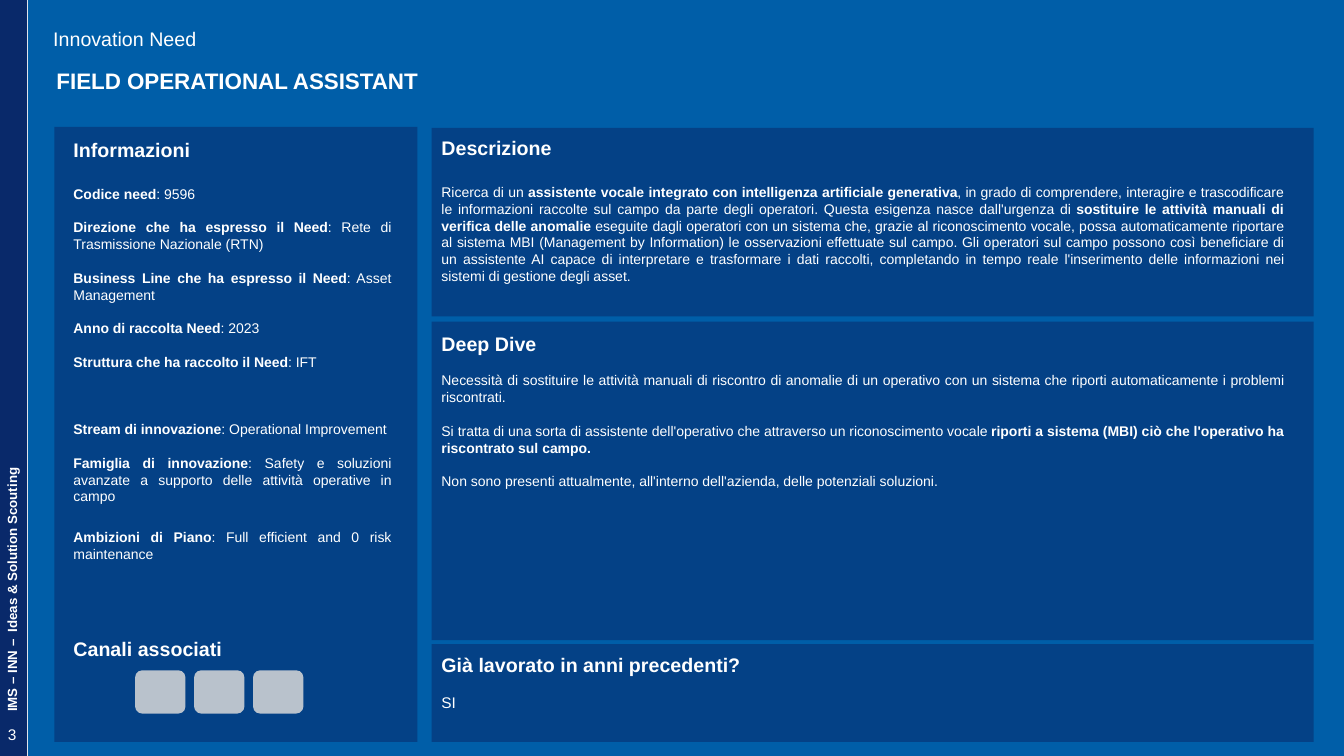
"""Build the innovation need slide for a field assistant."""
from dataclasses import dataclass

from lxml.etree import SubElement
from pptx import Presentation
from pptx.dml.color import RGBColor as Rgb
from pptx.enum.shapes import MSO_SHAPE as Kind
from pptx.enum.text import MSO_ANCHOR as Anchor, PP_ALIGN as Align
from pptx.oxml.ns import qn
from pptx.util import Inches, Pt

FONT = "Arial"
WHITE = "FFFFFF"
NAVY = "092869"
LINE = 12
TALL = 17

Box = tuple[float, float, float, float]


@dataclass
class Para:
    text: str
    size: float = 10
    gap: float = LINE
    align: Align = Align.JUSTIFY


@dataclass
class Panel:
    box: Box
    area: Box
    paras: list[Para]


PANELS = [
    Panel((0.54, 1.26, 3.6, 6.1), (0.63, 1.32, 3.35, 5.65), [
        Para("*Informazioni*", 14, 0),
        Para("*Codice need*: 9596", gap=TALL),
        Para("*Direzione che ha espresso il Need*: Rete di Trasmissione Nazionale (RTN)"),
        Para("*Business Line che ha espresso il Need*: Asset Management"),
        Para("*Anno di raccolta Need*: 2023"),
        Para("*Struttura che ha raccolto il Need*: IFT"),
        Para("*Stream di innovazione*: Operational Improvement", gap=3 * LINE),
        Para("*Famiglia di innovazione*: Safety e soluzioni avanzate a supporto delle "
             "attività operative in campo"),
        Para("*Ambizioni di Piano*: Full efficient and 0 risk maintenance", gap=TALL),
        Para("*Canali associati*", 14, 3 * LINE + TALL, Align.LEFT),
    ]),
    Panel((4.28, 1.27, 8.75, 1.87), (4.28, 1.3, 8.55, 1.58), [
        Para("*Descrizione*", 14, 0),
        Para("Ricerca di un *assistente vocale integrato con intelligenza artificiale "
             "generativa*, in grado di comprendere, interagire e trascodificare le "
             "informazioni raccolte sul campo da parte degli operatori. Questa esigenza "
             "nasce dall'urgenza di *sostituire le attività manuali di verifica delle "
             "anomalie* eseguite dagli operatori con un sistema che, grazie al "
             "riconoscimento vocale, possa automaticamente riportare al sistema MBI "
             "(Management by Information) le osservazioni effettuate sul campo. Gli "
             "operatori sul campo possono così beneficiare di un assistente AI capace di "
             "interpretare e trasformare i dati raccolti, completando in tempo reale "
             "l'inserimento delle informazioni nei sistemi di gestione degli asset.",
             gap=TALL),
    ]),
    Panel((4.28, 3.19, 8.75, 3.16), (4.28, 3.24, 8.55, 1.85), [
        Para("*Deep Dive*", 14, 0),
        Para("Necessità di sostituire le attività manuali di riscontro di anomalie di un "
             "operativo con un sistema che riporti automaticamente i problemi riscontrati."),
        Para("Si tratta di una sorta di assistente dell'operativo che attraverso un "
             "riconoscimento vocale *riporti a sistema (MBI) ciò che l'operativo ha "
             "riscontrato sul campo.*"),
        Para("Non sono presenti attualmente, all'interno dell'azienda, delle potenziali "
             "soluzioni."),
    ]),
    Panel((4.28, 6.39, 8.75, 0.97), (4.28, 6.43, 8.45, 0.69), [
        Para("*Già lavorato in anni precedenti?*", 14, 0),
        Para("SI", 11),
    ]),
]


def tint(code: str) -> Rgb:
    return Rgb.from_string(code)


def place(shape, box: Box) -> None:
    shape.left, shape.top, shape.width, shape.height = map(Inches, box)


def block(slide, box: Box, fill: str, alpha: int = 100, kind: Kind = Kind.RECTANGLE) -> None:
    shape = slide.shapes.add_shape(kind, *map(Inches, box))
    shape.shadow.inherit = False
    shape.line.fill.background()
    shape.fill.solid()
    shape.fill.fore_color.rgb = tint(fill)
    if alpha < 100:
        color = shape._element.spPr.find(f".//{qn('a:srgbClr')}")
        SubElement(color, qn("a:alpha")).set("val", str(alpha * 1000))


def write(frame, paras: list[Para], pad: tuple[float, float] = (0.1, 0.05)) -> None:
    frame.word_wrap = True
    frame.vertical_anchor = Anchor.TOP
    frame.margin_left = frame.margin_right = Inches(pad[0])
    frame.margin_top = frame.margin_bottom = Inches(pad[1])
    for index, para in enumerate(paras):
        line = frame.add_paragraph() if index else frame.paragraphs[0]
        line.alignment = para.align
        line.line_spacing = 1.0
        line.space_before = Pt(para.gap)
        for turn, part in enumerate(para.text.split("*")):
            if part:
                run = line.add_run()
                run.text = part
                run.font.name = FONT
                run.font.size = Pt(para.size)
                run.font.bold = turn % 2 == 1
                run.font.color.rgb = tint(WHITE)


def label(slide, box: Box, text: str, *, size: float, align: Align = Align.LEFT,
          turn: float = 0, pad: tuple[float, float] = (0.1, 0.05)) -> None:
    shape = slide.shapes.add_textbox(*map(Inches, box))
    shape.rotation = turn
    write(shape.text_frame, [Para(text, size, 0, align)], pad)


def main() -> None:
    deck = Presentation()
    deck.slide_width, deck.slide_height = Inches(13.33), Inches(7.5)
    slide = deck.slides.add_slide(deck.slide_layouts[5])
    title = slide.shapes.title

    block(slide, (0, 0, 0.27, 7.5), "09296A")
    label(slide, (-2.06, 4.85, 4.36, 0.26), "*IMS – INN –  Ideas & Solution Scouting*",
          size=9.5, turn=270)
    block(slide, (0.28, 0, 13.05, 7.5), "005EA8")
    label(slide, (0.43, 0.22, 6.24, 0.29), "Innovation Need", size=14)

    slide.shapes._spTree.append(title._element)
    place(title, (0.46, 0.62, 11.58, 0.5))
    write(title.text_frame, [Para("*FIELD OPERATIONAL ASSISTANT*", 16, 0, Align.LEFT)])

    for panel in PANELS:
        block(slide, panel.box, NAVY, 53)
        area = slide.shapes.add_textbox(*map(Inches, panel.area))
        write(area.text_frame, panel.paras)

    for index in range(3):
        block(slide, (1.34 + 0.585 * index, 6.65, 0.5, 0.43), "D9D9D9", 85,
              Kind.ROUNDED_RECTANGLE)

    label(slide, (0, 7.15, 0.24, 0.3), "3", size=11, align=Align.CENTER, pad=(0, 0.04))
    deck.save("out.pptx")


if __name__ == "__main__":
    main()
